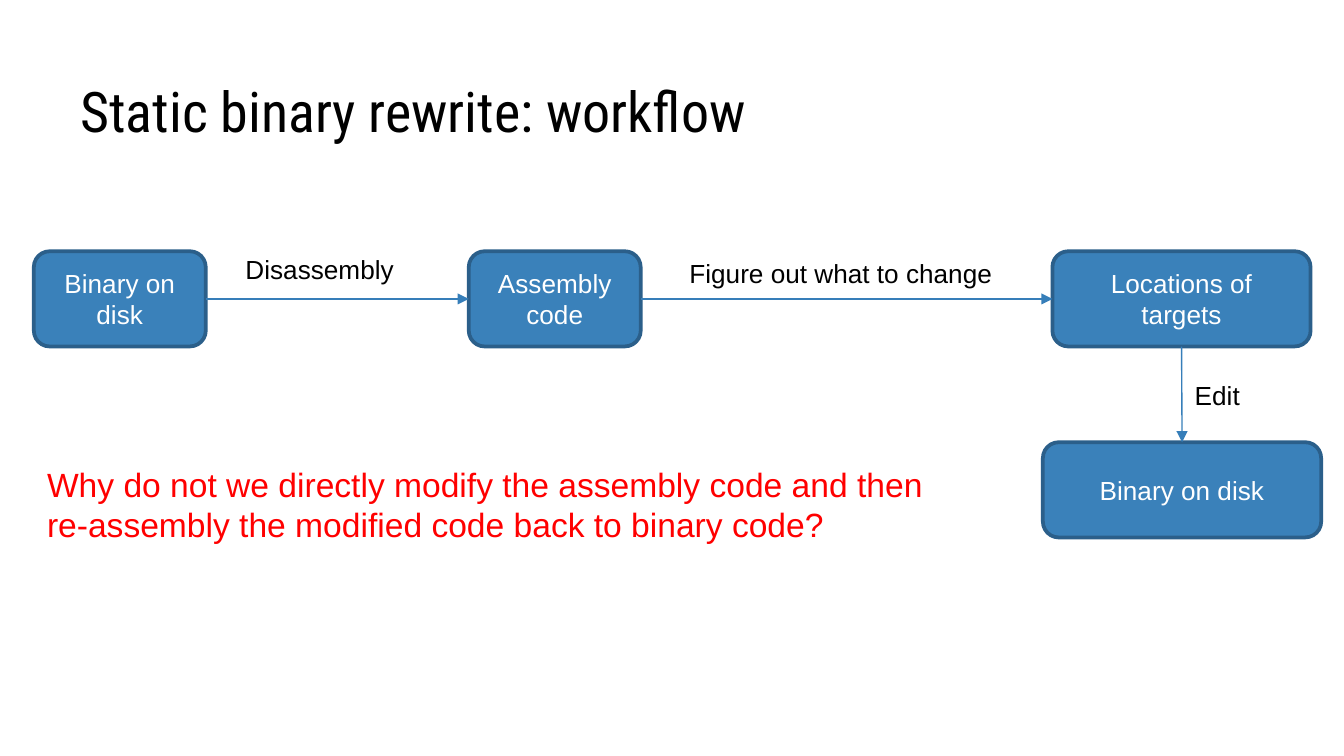
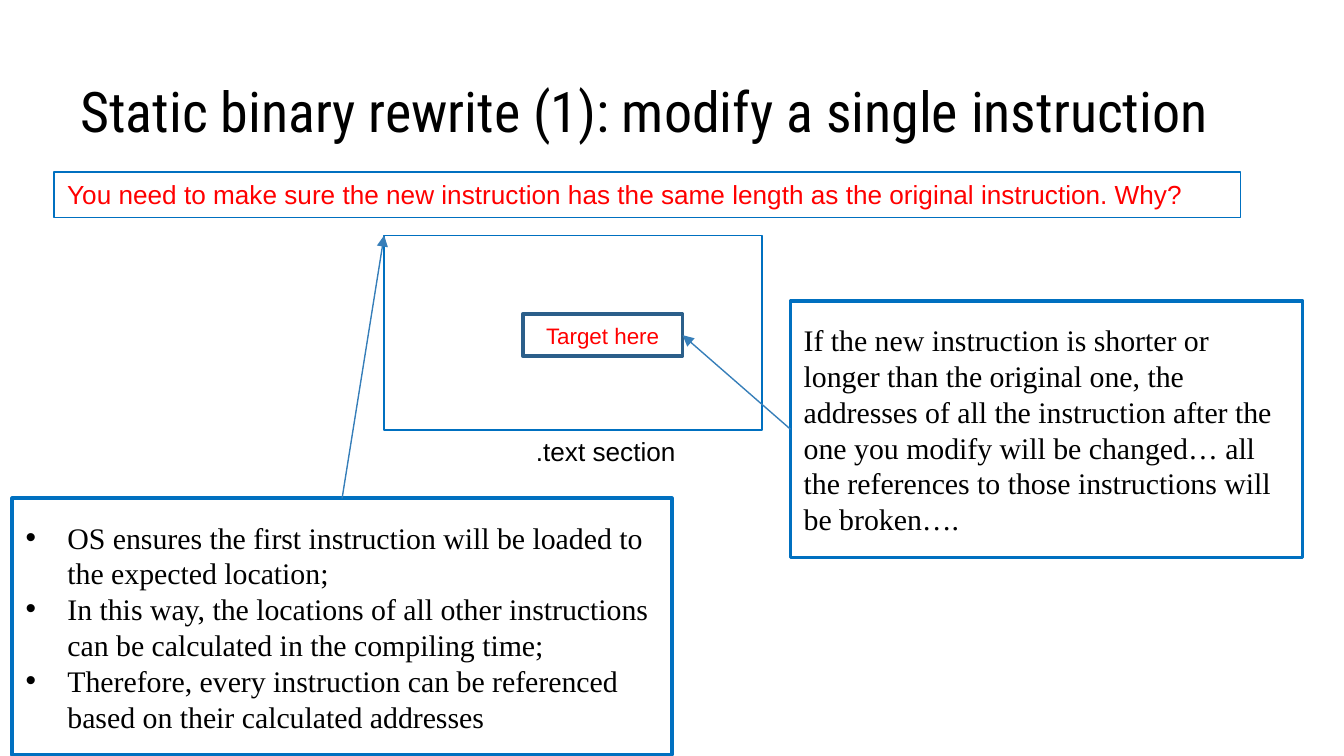
"""Build two slides on static binary rewriting."""
from lxml.etree import SubElement
from pptx import Presentation
from pptx.dml.color import RGBColor
from pptx.enum.shapes import MSO_CONNECTOR, MSO_SHAPE
from pptx.enum.text import MSO_ANCHOR, MSO_AUTO_SIZE, PP_ALIGN
from pptx.oxml.ns import qn
from pptx.util import Cm, Pt

BLACK, WHITE, RED = "000000", "FFFFFF", "FF0000"
BOX_FILL, BOX_LINE = "3A81BA", "2B5F8A"
FRAME, ARROW = "0070C0", "367EB9"
SANS, SERIF, HEADING = "Arial", "Times New Roman", "Roboto Condensed"
TOP, LEFT, BOTTOM, RIGHT = range(4)


def rgb(value):
    """Turn a hex string into a colour."""
    return RGBColor.from_string(value)


class Deck:
    """Hold the shared style and the current slide."""

    def __init__(self):
        """Start an empty widescreen presentation."""
        self.prs = Presentation()
        self.prs.slide_width, self.prs.slide_height = Cm(25.4), Cm(14.29)
        self.slide = None

    def place(self, sp, at):
        """Move a shape to left, top, width, height in centimetres."""
        sp.left, sp.top, sp.width, sp.height = map(Cm, at)

    def set_text(self, sp, text, size, color, font=SANS, align=PP_ALIGN.LEFT,
                 anchor=MSO_ANCHOR.MIDDLE, grow=False):
        """Fill a shape with formatted text."""
        tf = sp.text_frame
        tf.text = text
        tf.word_wrap = True
        tf.auto_size = MSO_AUTO_SIZE.SHAPE_TO_FIT_TEXT if grow else MSO_AUTO_SIZE.NONE
        tf.vertical_anchor = anchor
        for p in tf.paragraphs:
            p.alignment = align
            p.space_before = Pt(0)
            for r in p.runs:
                r.font.name, r.font.size = font, Pt(size)
                r.font.color.rgb = rgb(color)

    def outline(self, sp, color, width):
        """Set the line of a shape or connector."""
        sp.line.color.rgb = rgb(color)
        sp.line.width = Pt(width)

    def add_slide(self, title, layout):
        """Add a slide with the shared title style."""
        self.slide = self.prs.slides.add_slide(self.prs.slide_layouts[layout])
        sp = self.slide.shapes.title
        self.place(sp, (1.27, 0.58, 22.86, 2.39))
        self.set_text(sp, title, 30, BLACK, HEADING, anchor=MSO_ANCHOR.BOTTOM)
        tf = sp.text_frame
        tf.margin_left = tf.margin_right = tf.margin_top = tf.margin_bottom = Cm(0.25)

    def frame(self, at, color=FRAME, width=2, kind=MSO_SHAPE.RECTANGLE):
        """Add an outlined shape without fill."""
        sp = self.slide.shapes.add_shape(kind, *map(Cm, at))
        sp.shadow.inherit = False
        sp.fill.background()
        self.outline(sp, color, width)
        return sp

    def step(self, text, at):
        """Add a filled rounded box of the workflow."""
        sp = self.frame(at, BOX_LINE, kind=MSO_SHAPE.ROUNDED_RECTANGLE)
        sp.fill.solid()
        sp.fill.fore_color.rgb = rgb(BOX_FILL)
        self.set_text(sp, text, 14, WHITE, align=PP_ALIGN.CENTER)
        return sp

    def label(self, text, at, size=14, color=BLACK):
        """Add a plain text box."""
        sp = self.slide.shapes.add_textbox(*map(Cm, at))
        self.set_text(sp, text, size, color, anchor=MSO_ANCHOR.TOP, grow=True)

    def bullets(self, items, at):
        """Turn the body placeholder into a framed bullet list."""
        sp = self.slide.placeholders[1]
        self.place(sp, at)
        self.outline(sp, FRAME, 2)
        self.set_text(sp, "\n".join(items), 16, BLACK, SERIF)
        for p in sp.text_frame.paragraphs:
            pPr = p._p.get_or_add_pPr()
            pPr.set("marL", str(Cm(0.79)))
            pPr.set("indent", str(-Cm(0.79)))
            SubElement(pPr, qn("a:buFont")).set("typeface", SANS)
            SubElement(pPr, qn("a:buChar")).set("char", "•")
        return sp

    def arrow(self, start, start_side, end, end_side=None):
        """Join a shape's side to another shape's side or top left corner."""
        cxn = self.slide.shapes.add_connector(
            MSO_CONNECTOR.STRAIGHT, start.left, start.top, end.left, end.top)
        cxn.begin_connect(start, start_side)
        if end_side is not None:
            cxn.end_connect(end, end_side)
        self.outline(cxn, ARROW, 0.75)
        spPr = cxn._element.spPr
        SubElement(spPr.get_or_add_ln(), qn("a:tailEnd")).set("type", "triangle")
        SubElement(spPr, qn("a:effectLst"))


def workflow(deck):
    """Build the workflow slide."""
    deck.add_slide("Static binary rewrite: workflow", 5)
    binary, code, targets = [
        deck.step(text, (left, 4.75, width, 1.8))
        for text, left, width in (("Binary on disk", 0.64, 3.25),
                                  ("Assembly code", 8.86, 3.25),
                                  ("Locations of targets", 19.89, 4.88))]
    result = deck.step("Binary on disk", (19.71, 8.36, 5.26, 1.8))
    deck.arrow(binary, RIGHT, code, LEFT)
    deck.arrow(code, RIGHT, targets, LEFT)
    deck.arrow(targets, BOTTOM, result, TOP)
    deck.label("Disassembly", (4.39, 4.67, 3.51, 0.86))
    deck.label("Figure out what to change", (12.78, 4.75, 7, 0.86))
    deck.label("Edit", (22.33, 7.04, 3, 0.86))
    deck.label("Why do not we directly modify the assembly code and then "
               "re-assembly the modified code back to binary code?",
               (0.64, 8.64, 17.3, 1.8), 18, RED)


def single_instruction(deck):
    """Build the slide on modifying one instruction."""
    deck.add_slide("Static binary rewrite (1): modify a single instruction", 1)
    banner = deck.frame((1.02, 3.25, 22.43, 0.86), width=0.75)
    deck.set_text(banner, "You need to make sure the new instruction has the same "
                  "length as the original instruction. Why?", 14, RED,
                  anchor=MSO_ANCHOR.TOP, grow=True)
    section = deck.frame((7.26, 4.45, 7.14, 3.68), width=0.75)
    deck.label(".text section", (9.88, 8.1, 3.43, 0.86))
    target = deck.frame((9.88, 5.94, 3.02, 0.79), BOX_LINE)
    deck.set_text(target, "Target here", 12, RED, align=PP_ALIGN.CENTER)
    reasons = deck.bullets((
        "OS ensures the first instruction will be loaded to the expected location;",
        "In this way, the locations of all other instructions can be calculated "
        "in the compiling time;",
        "Therefore, every instruction can be referenced based on their "
        "calculated addresses"), (0.23, 9.42, 12.47, 4.85))
    note = deck.frame((14.94, 5.69, 9.68, 4.85))
    deck.set_text(note, "If the new instruction is shorter or longer than the original "
                  "one, the addresses of all the instruction after the one you modify "
                  "will be changed… all the references to those instructions will be "
                  "broken….", 16, BLACK, SERIF)
    deck.arrow(reasons, TOP, section)
    deck.arrow(note, LEFT, target, RIGHT)


def main():
    """Build and save the presentation."""
    deck = Deck()
    workflow(deck)
    single_instruction(deck)
    deck.prs.save("out.pptx")


if __name__ == "__main__":
    main()
